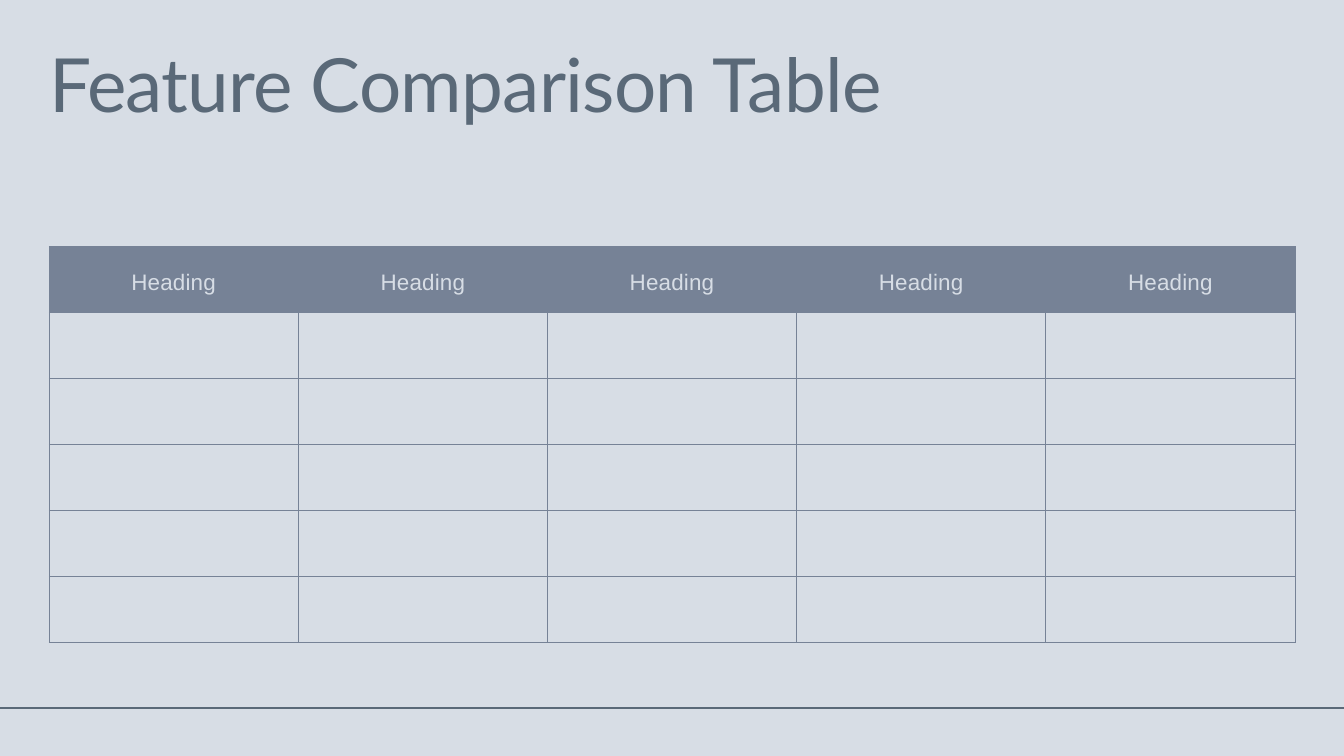
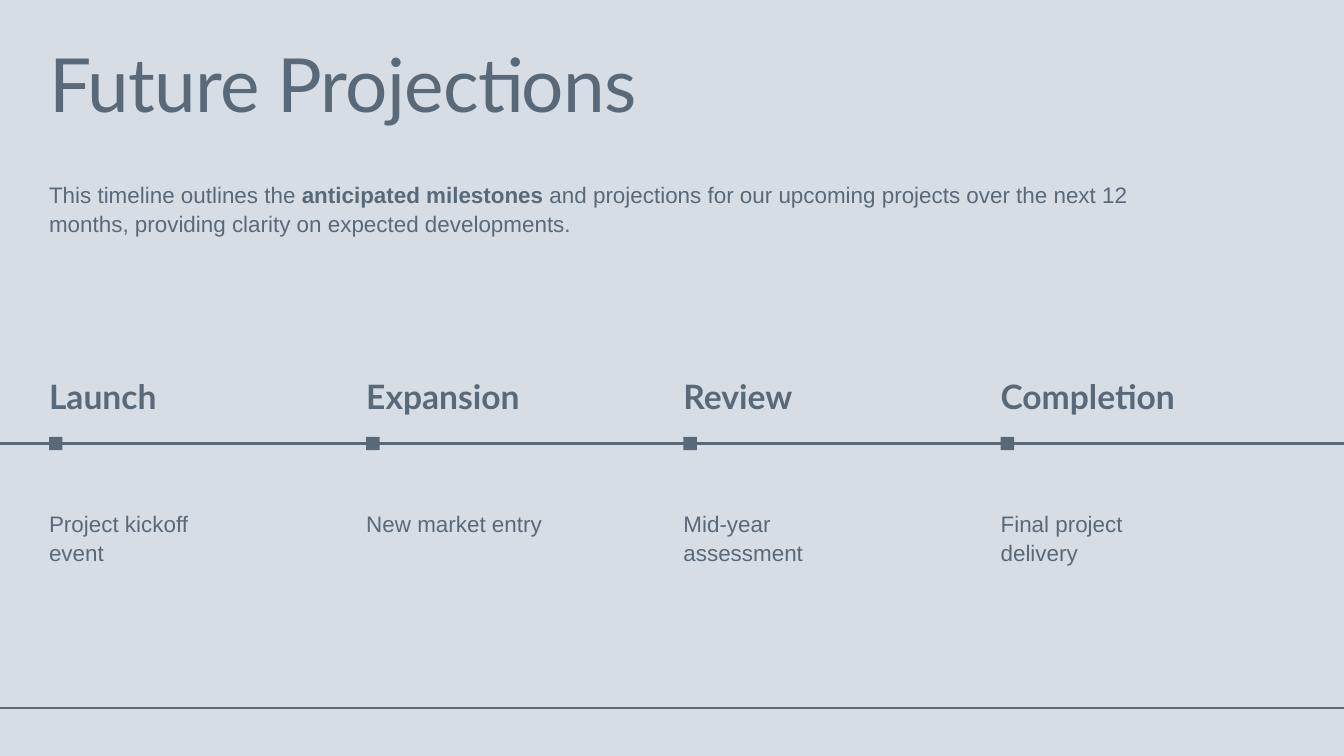
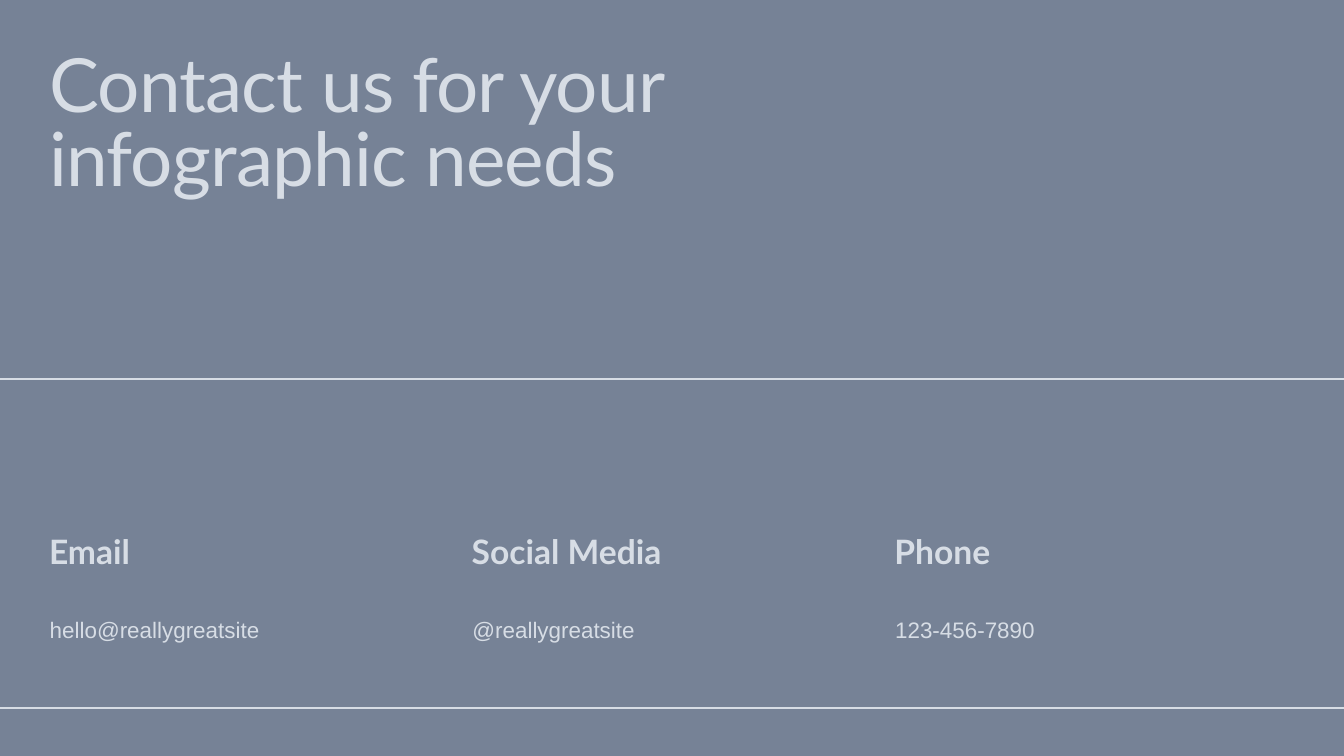
from lxml import etree
from pptx import Presentation
from pptx.dml.color import RGBColor
from pptx.enum import shapes, text
from pptx.oxml import ns
from pptx.util import Inches, Pt

# Shared look
HUES = {"pale": "D7DDE5", "slate": "768296", "ink": "5A6978"}
STYLES = {  # font, size, line spacing, bold, letter spacing in 1/100 pt
    "title": ("Lato", 80, 80, False, -80),
    "label": ("Lato", 36, 39.6, True, 0),
    "body": ("Arial", 24, 31.2, False, 0),
    "head": ("Arial", 24, 33.6, False, 20),
}
WIDTH, HEIGHT, LEFT, FOOT = 20, 11.25, 0.73, 10.54
TITLE_ONLY, TITLE_BODY = 5, 1


def color(name):
    return RGBColor.from_string(HUES[name])


def paint(item, hue):
    item.fill.solid()
    item.fill.fore_color.rgb = color(hue)


def place(shape, left, top, width, height):
    shape.left, shape.top = Inches(left), Inches(top)
    shape.width, shape.height = Inches(width), Inches(height)


def style(para, kind, hue, align=text.PP_ALIGN.LEFT):
    font, size, lead, bold, track = STYLES[kind]
    para.alignment = align
    para.line_spacing = Pt(lead)
    para.space_before = Pt(0)
    for run in para.runs:
        run.font.name, run.font.size = font, Pt(size)
        run.font.bold = bold
        run.font.color.rgb = color(hue)
        if track:
            run.font._element.set("spc", str(track))


def trim(frame):
    frame.word_wrap = True
    frame.auto_size = text.MSO_AUTO_SIZE.NONE
    frame.vertical_anchor = text.MSO_ANCHOR.TOP
    frame.margin_left = frame.margin_right = 0
    frame.margin_top = frame.margin_bottom = 0


# Kinds of element
def add_slide(deck, layout, title, back, hue, width=18.54, height=1.27):
    slide = deck.slides.add_slide(deck.slide_layouts[layout])
    paint(slide.background, back)
    head = slide.shapes.title
    place(head, LEFT, 0.78, width, height)
    trim(head.text_frame)
    head.text_frame.text = title
    style(head.text_frame.paragraphs[0], "title", hue)
    add_rule(slide, FOOT, hue)
    return slide


def add_rule(slide, top, hue):
    rule = slide.shapes.add_connector(
        shapes.MSO_CONNECTOR.STRAIGHT, 0, Inches(top), Inches(WIDTH), Inches(top))
    rule.line.color.rgb = color(hue)
    rule.line.width = Pt(2.25)
    etree.SubElement(rule._element.spPr, ns.qn("a:effectLst"))


def add_text(slide, words, kind, hue, left, top, width, height):
    box = slide.shapes.add_textbox(0, 0, 0, 0)
    place(box, left, top, width, height)
    trim(box.text_frame)
    box.text_frame.text = words
    style(box.text_frame.paragraphs[0], kind, hue)


def add_intro(slide, parts, hue):
    body = slide.placeholders[1]
    place(body, LEFT, 2.66, 17.3, 0.84)
    trim(body.text_frame)
    para = body.text_frame.paragraphs[0]
    for words in parts:
        para.add_run().text = words
    style(para, "body", hue)
    para.runs[1].font.bold = True
    props = para._p.get_or_add_pPr()
    props.set("marL", "0")
    props.set("indent", "0")
    etree.SubElement(props, ns.qn("a:buNone"))


def add_mark(slide, left, top, size, hue):
    mark = slide.shapes.add_shape(
        shapes.MSO_SHAPE.RECTANGLE, Inches(left), Inches(top), Inches(size), Inches(size))
    paint(mark, hue)
    mark.line.fill.background()
    mark.shadow.inherit = False


def edge(cell, hue):
    props = cell._tc.get_or_add_tcPr()
    for spot, side in enumerate(("lnL", "lnR", "lnT", "lnB")):
        line = etree.Element(ns.qn("a:" + side), w=str(Pt(0.75)))
        fill = etree.SubElement(line, ns.qn("a:solidFill"))
        etree.SubElement(fill, ns.qn("a:srgbClr"), val=HUES[hue])
        props.insert(spot, line)


def add_grid(slide, heads, rows):
    grid = slide.shapes.add_table(
        rows, len(heads), Inches(LEFT), Inches(3.67), Inches(18.54), Inches(5.89)).table
    grid.first_row = grid.horz_banding = False
    for cell in grid.iter_cells():
        paint(cell, "pale")
        edge(cell, "slate")
        cell.margin_left = cell.margin_right = Inches(0.19)
        cell.margin_top = cell.margin_bottom = Inches(0.19)
        cell.vertical_anchor = text.MSO_ANCHOR.MIDDLE
    for cell, words in zip(grid.rows[0].cells, heads):
        paint(cell, "slate")
        cell.text_frame.text = words
        style(cell.text_frame.paragraphs[0], "head", "pale", text.PP_ALIGN.CENTER)


# Slides
def add_features(deck):
    slide = add_slide(deck, TITLE_ONLY, "Feature Comparison Table", "pale", "ink")
    add_grid(slide, ["Heading"] * 5, 6)


def add_future(deck):
    slide = add_slide(deck, TITLE_BODY, "Future Projections", "pale", "ink", 17.3)
    add_intro(slide, (
        "This timeline outlines the ",
        "anticipated milestones",
        " and projections for our upcoming projects over the next 12 months, "
        "providing clarity on expected developments.",
    ), "ink")
    add_rule(slide, 6.6, "ink")
    stages = (
        ("Launch", "Project kickoff event"),
        ("Expansion", "New market entry"),
        ("Review", "Mid-year assessment"),
        ("Completion", "Final project delivery"),
    )
    for spot, (name, event) in enumerate(stages):
        left = LEFT + 4.72 * spot
        add_text(slide, name, "label", "ink", left, 5.64, 2.81, 0.61)
        add_mark(slide, left, 6.5, 0.2, "ink")
        add_text(slide, event, "body", "ink", left, 7.56, 2.81, 0.84)


def add_contact(deck):
    slide = add_slide(deck, TITLE_ONLY, "Contact us for your infographic needs",
                      "slate", "pale", 10.68, 2.38)
    add_rule(slide, 5.64, "pale")
    ways = (
        ("Email", "hello@reallygreatsite"),
        ("Social Media", "@reallygreatsite"),
        ("Phone", "123-456-7890"),
    )
    for spot, (name, value) in enumerate(ways):
        left = LEFT + 6.29 * spot
        add_text(slide, name, "label", "pale", left, 7.95, 5.96, 0.61)
        add_text(slide, value, "body", "pale", left + 0.01, 9.13, 5.95, 0.41)


def main():
    deck = Presentation()
    deck.slide_width, deck.slide_height = Inches(WIDTH), Inches(HEIGHT)
    add_features(deck)
    add_future(deck)
    add_contact(deck)
    deck.save("out.pptx")


if __name__ == "__main__":
    main()
